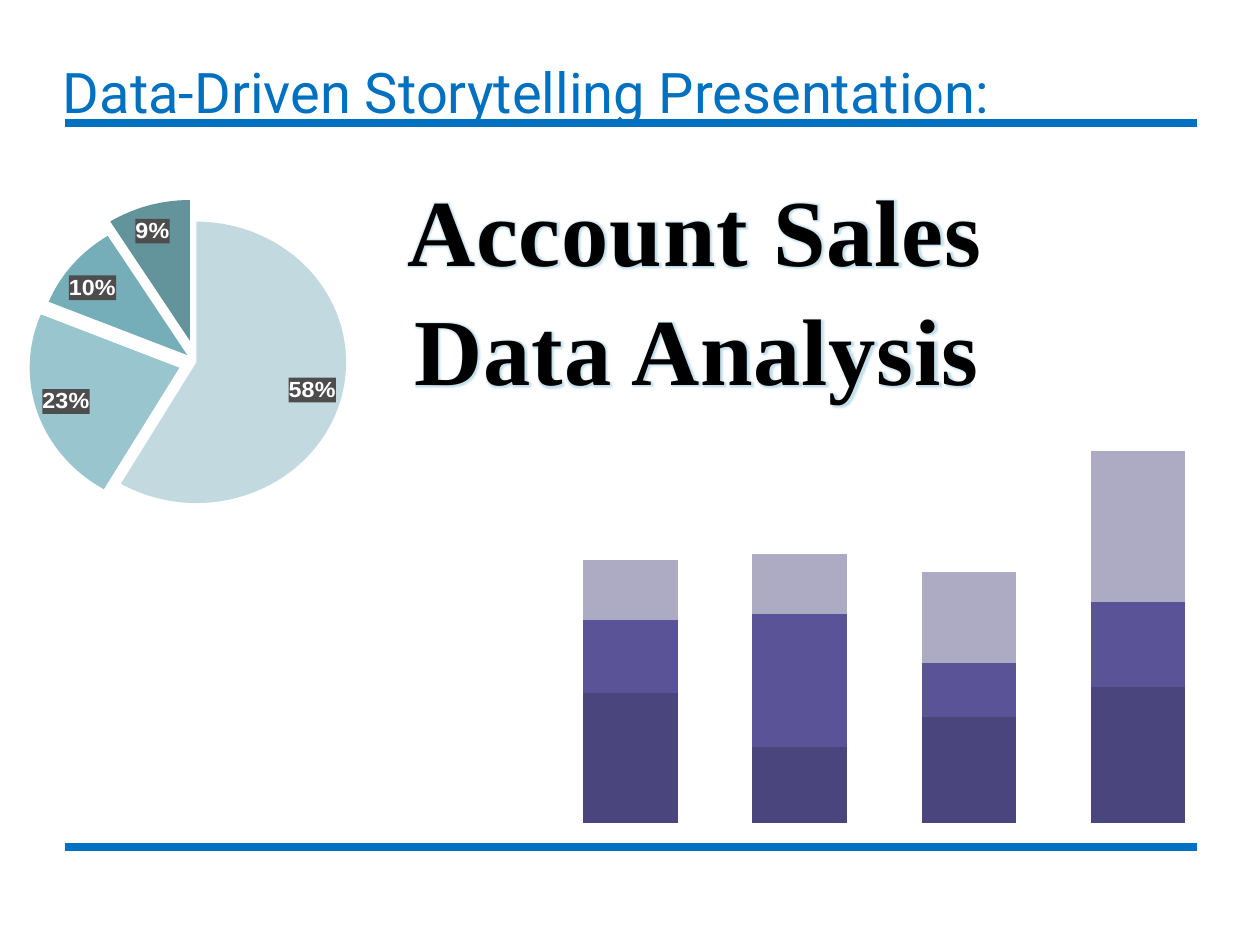
from dataclasses import dataclass

from lxml import etree
from pptx import Presentation
from pptx.chart.data import CategoryChartData
from pptx.dml.color import RGBColor
from pptx.enum import chart as charts, shapes, text
from pptx.oxml import parse_xml
from pptx.oxml.ns import qn
from pptx.util import Emu, Pt

PIXEL = 914400 // 126
DRAWING = 'xmlns:a="http://schemas.openxmlformats.org/drawingml/2006/main"'
COLORS = {
    "rule": "0070C0", "black": "000000", "white": "FFFFFF", "label": "4D4D4D", "glow": "9CCAE0",
    "pale": "C2DADF", "light": "99C6CE", "medium": "75AEB8", "deep": "63939B",
    "indigo": "4B457D", "violet": "5A5397", "lavender": "ADABC4",
}


@dataclass
class Box:
    left: int
    top: int
    width: int
    height: int

    def emu(self) -> list[Emu]:
        return [Emu(value * PIXEL) for value in (self.left, self.top, self.width, self.height)]


@dataclass
class TextBlock:
    box: Box
    lines: list[str]
    font: dict
    color: str
    paragraph: dict
    frame: dict


@dataclass
class Slice:
    value: int
    color: str
    explosion: int


@dataclass
class Stack:
    values: list[int]
    color: str


RULE_LEFT, RULE_RIGHT = 65, 1197
RULE_TOPS = [123, 847]
HEADING = TextBlock(
    Box(63, 52, 1134, 289), ["Data-Driven Storytelling Presentation:"],
    {"name": "Roboto", "size": Pt(32)}, "rule", {"alignment": text.PP_ALIGN.LEFT},
    {"margin_left": 0, "margin_right": 0, "margin_top": Emu(6 * PIXEL), "margin_bottom": 0},
)
TITLE = TextBlock(
    Box(183, 161, 1004, 280), [" Account Sales", " Data Analysis"],
    {"name": "Times New Roman", "size": Pt(54), "bold": True}, "black",
    {"alignment": text.PP_ALIGN.CENTER, "space_before": Pt(3)},
    {"margin_top": Emu(11 * PIXEL)},
)
SLICES = [Slice(59, "pale", 0), Slice(23, "light", 12), Slice(10, "medium", 8), Slice(9, "deep", 16)]
STACKS = [
    Stack([86, 50, 70, 90], "indigo"),
    Stack([48, 88, 36, 56], "violet"),
    Stack([40, 40, 60, 100], "lavender"),
]


def rgb(name: str) -> RGBColor:
    return RGBColor.from_string(COLORS[name])


def apply(target, values: dict) -> None:
    for name, value in values.items():
        setattr(target, name, value)


def paint(fill, color: str) -> None:
    fill.solid()
    fill.fore_color.rgb = rgb(color)


def add_rule(slide, top: int) -> None:
    ends = [Emu(value * PIXEL) for value in (RULE_LEFT, top, RULE_RIGHT, top)]
    rule = slide.shapes.add_connector(shapes.MSO_CONNECTOR.STRAIGHT, *ends)
    rule.line.color.rgb = rgb("rule")
    rule.line.width = Pt(4.5)
    etree.SubElement(rule._element.spPr, qn("a:effectLst"))


def add_text(slide, block: TextBlock) -> list:
    frame = slide.shapes.add_textbox(*block.box.emu()).text_frame
    apply(frame, {"word_wrap": True, "vertical_anchor": text.MSO_ANCHOR.TOP, **block.frame})
    runs = []
    for index, line in enumerate(block.lines):
        paragraph = frame.add_paragraph() if index else frame.paragraphs[0]
        apply(paragraph, block.paragraph)
        run = paragraph.add_run()
        run.text = line
        apply(run.font, block.font)
        run.font.color.rgb = rgb(block.color)
        runs.append(run)
    return runs


def add_glow(run) -> None:
    properties = run._r.get_or_add_rPr()
    properties.set("spc", "50")
    fill = properties.find(qn("a:solidFill"))
    fill.addprevious(parse_xml(
        f'<a:ln {DRAWING} w="9525"><a:solidFill><a:srgbClr val="{COLORS["white"]}"/></a:solidFill></a:ln>'))
    fill.addnext(parse_xml(
        f'<a:effectLst {DRAWING}><a:glow rad="38100"><a:srgbClr val="{COLORS["glow"]}">'
        '<a:alpha val="60000"/></a:srgbClr></a:glow></a:effectLst>'))


def set_layout(chart, **fractions: float) -> None:
    area = chart._chartSpace.find(".//" + qn("c:plotArea"))
    for old in area.findall(qn("c:layout")):
        area.remove(old)
    layout = etree.Element(qn("c:layout"))
    manual = etree.SubElement(layout, qn("c:manualLayout"))
    settings = {"layoutTarget": "inner", "xMode": "edge", "yMode": "edge", **fractions}
    for name, value in settings.items():
        etree.SubElement(manual, qn("c:" + name)).set("val", str(value))
    area.insert(0, layout)


def add_chart(slide, kind, box: Box, series: list[list[int]]):
    data = CategoryChartData()
    data.categories = ["1", "2", "3", "4"]
    for index, values in enumerate(series, 1):
        data.add_series(f"Series {index}", values)
    chart = slide.shapes.add_chart(kind, *box.emu(), data).chart
    apply(chart, {"has_legend": False, "has_title": False})
    apply(chart.font, {"name": "Arial", "size": Pt(10)})
    chart.font.color.rgb = rgb("black")
    return chart


def add_pie(slide) -> None:
    chart = add_chart(slide, charts.XL_CHART_TYPE.PIE, Box(-43, 200, 479, 312),
                      [[part.value for part in SLICES]])
    set_layout(chart, x=0, y=0.01, w=1, h=0.96)
    chart.plots[0].vary_by_categories = True
    series = chart.plots[0].series[0]
    for index, part in enumerate(SLICES):
        point = series.points[index]
        paint(point.format.fill, part.color)
        point.format.line.fill.background()
    for point_xml, part in zip(chart._chartSpace.iter(qn("c:dPt")), SLICES):
        explosion = etree.Element(qn("c:explosion"))
        explosion.set("val", str(part.explosion))
        point_xml.find(qn("c:spPr")).addprevious(explosion)
    labels = series.data_labels
    apply(labels, {
        "show_percentage": True, "show_value": False, "number_format": "0%",
        "number_format_is_linked": False, "position": charts.XL_LABEL_POSITION.BEST_FIT,
    })
    apply(labels.font, {"name": "Arial", "size": Pt(13.3), "bold": True})
    labels.font.color.rgb = rgb("white")
    label_xml = chart._chartSpace.find(".//" + qn("c:ser") + "/" + qn("c:dLbls"))
    label_fill = etree.Element(qn("c:spPr"))
    solid = etree.SubElement(label_fill, qn("a:solidFill"))
    etree.SubElement(solid, qn("a:srgbClr")).set("val", COLORS["label"])
    label_xml.find(qn("c:txPr")).addprevious(label_fill)


def add_columns(slide) -> None:
    chart = add_chart(slide, charts.XL_CHART_TYPE.COLUMN_STACKED, Box(510, 367, 713, 461),
                      [stack.values for stack in STACKS])
    set_layout(chart, x=0.05, y=0.07, w=0.95, h=0.92)
    plot = chart.plots[0]
    apply(plot, {"gap_width": 79, "overlap": 100, "vary_by_categories": False})
    apply(chart.value_axis, {"visible": False, "has_major_gridlines": False,
                             "minimum_scale": 0, "maximum_scale": 280})
    chart.category_axis.visible = False
    for series, stack in zip(plot.series, STACKS):
        paint(series.format.fill, stack.color)


presentation = Presentation()
apply(presentation, {"slide_width": Emu(1260 * PIXEL), "slide_height": Emu(945 * PIXEL)})
slide = presentation.slides.add_slide(presentation.slide_layouts[6])
for top in RULE_TOPS:
    add_rule(slide, top)
add_text(slide, HEADING)
for run in add_text(slide, TITLE):
    add_glow(run)
add_pie(slide)
add_columns(slide)
presentation.save("out.pptx")
